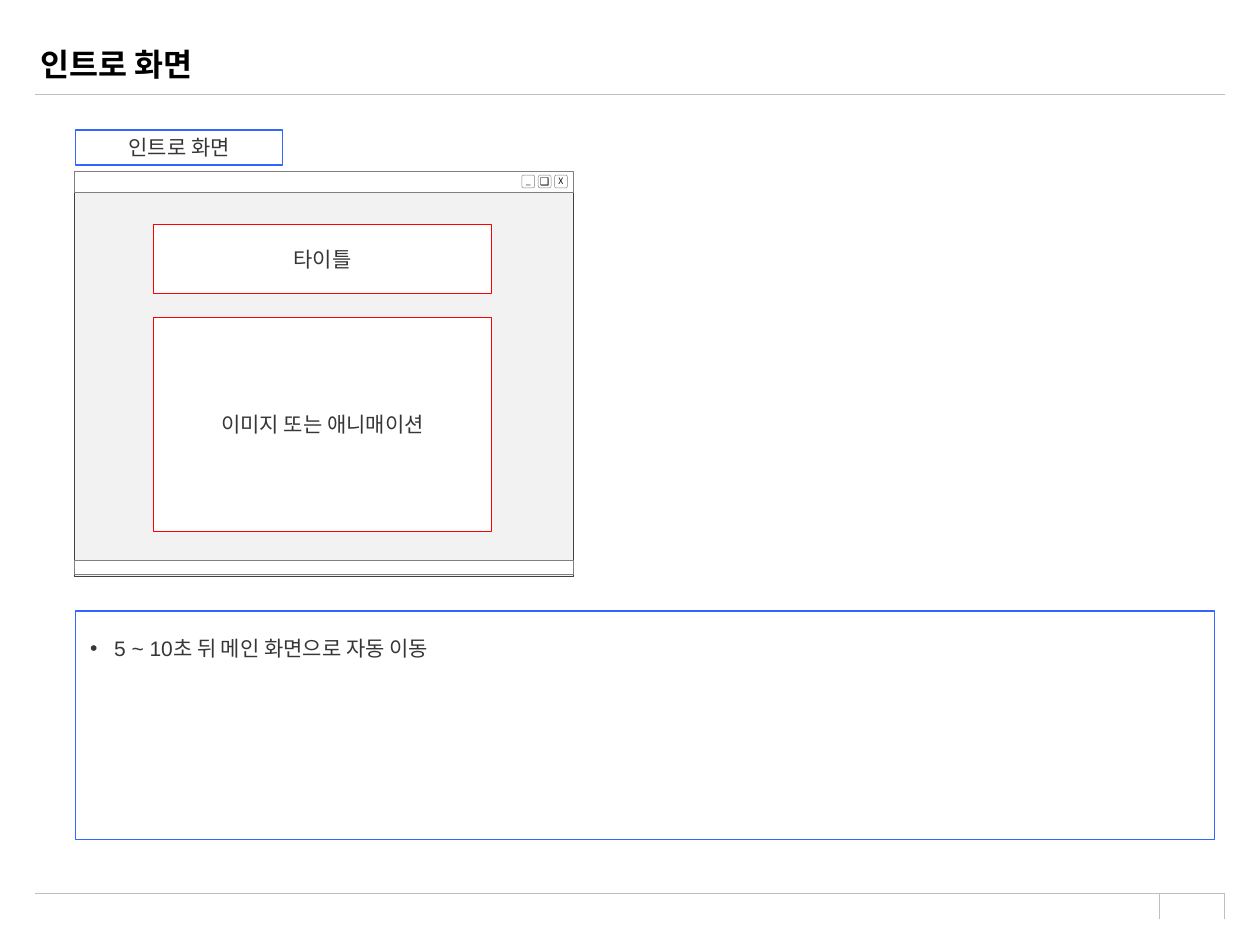
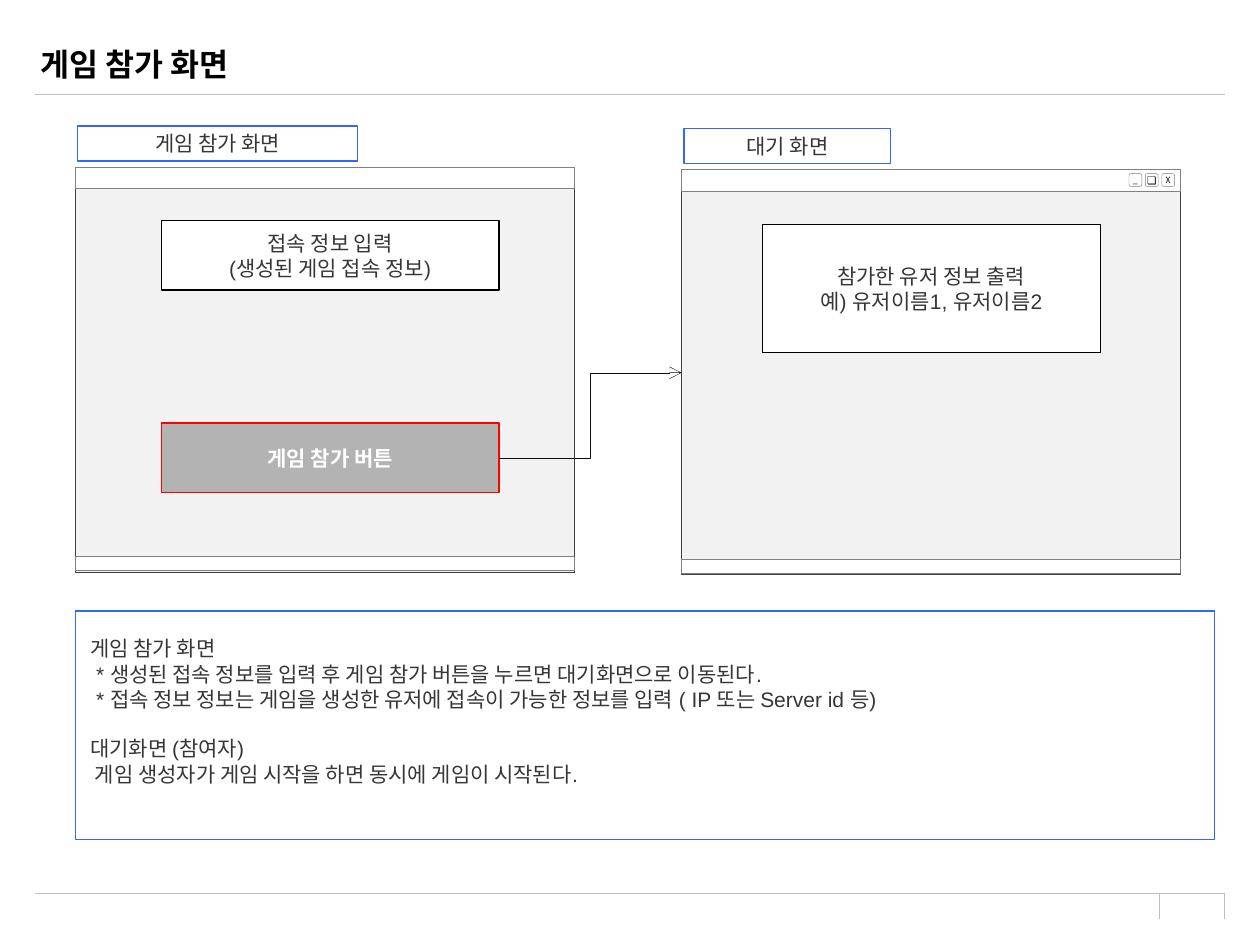
from lxml import etree
from pptx import Presentation
from pptx import util as u
from pptx.dml import color
from pptx.enum import shapes, text
from pptx.oxml import ns

Cm, Pt = u.Cm, u.Pt

COLORS = {
    "white": "FFFFFF", "black": "000000", "text": "363636", "rule": "BFBFBF",
    "blue": "3366FF", "red": "FE0000", "button": "B3B3B3", "body": "F2F2F2",
    "body_line": "404040", "frame": "808080", "arrow": "0D0D0D",
}
BODY_FONT, TITLE_FONT, ICON_FONT = "Arial", "Karla", "Noto Sans CJK KR"

RULES = [
    (0.71, 1.9, 24.69, 1.9), (0.71, 18.01, 24.69, 18.01),
    (24.69, 18.52, 24.69, 18.03), (23.37, 18.52, 23.37, 18.03),
]
WINDOW_WIDTH, WINDOW_HEIGHT = 10.06, 8.13
BAR_HEIGHT, STATUS_HEIGHT, STATUS_TOP = 0.43, 0.28, 7.82
ICONS = [("_", 5), ("❑", 6), ("X", 5)]
ICON_LEFT, ICON_STEP, ICON_SIZE = 9.02, 0.33, 0.26
LABEL_RISE, LABEL_HEIGHT = 0.86, 0.71
BOX_WIDTH, BOX_HEIGHT = 6.81, 1.4
NOTE = (1.52, 12.32, 22.96, 4.6)
INSETS = (0.3, 0.5, 0.3, 0.5)

SLIDES = [
    {
        "title": "인트로 화면",
        "windows": [
            {
                "at": (1.5, 3.48), "label": ("인트로 화면", 0.03, 4.17),
                "icons": True,
                "boxes": [
                    {"lines": ["타이틀"], "at": (1.6, 1.04), "line": "red"},
                    {"lines": ["이미지 또는 애니매이션"], "at": (1.6, 2.92),
                     "height": 4.32, "line": "red"},
                ],
            },
        ],
        "notes": [("5 ~ 10초 뒤 메인 화면으로 자동 이동", "bullet")],
    },
    {
        "title": "게임 참가 화면",
        "windows": [
            {
                "at": (1.52, 3.4), "label": ("게임 참가 화면", 0.05, 5.64),
                "icons": False,
                "boxes": [
                    {"lines": ["접속 정보 입력", "(생성된 게임 접속 정보)"],
                     "at": (1.73, 1.05), "line": "black"},
                    {"lines": ["게임 참가 버튼"], "at": (1.73, 5.13),
                     "line": "red", "fill": "button", "font": "white",
                     "bold": True, "opens": 1},
                ],
            },
            {
                "at": (13.74, 3.45), "label": ("대기 화면", 0.05, 4.17),
                "icons": True,
                "boxes": [
                    {"lines": ["참가한 유저 정보 출력", "예) 유저이름1, 유저이름2"],
                     "at": (1.63, 1.07), "height": 2.59, "line": "black"},
                ],
            },
        ],
        "notes": [
            ("게임 참가 화면", "plain"),
            (" * 생성된 접속 정보를 입력 후 게임 참가 버튼을 누르면 대기화면으로 이동된다.", "plain"),
            (" * 접속 정보 정보는 게임을 생성한 유저에 접속이 가능한 정보를 입력 ( IP 또는 Server id 등)", "plain"),
            ("대기화면 (참여자)", "spaced"),
            (" 게임 생성자가 게임 시작을 하면 동시에 게임이 시작된다.", "plain"),
        ],
    },
]


def rgb(name):
    return color.RGBColor.from_string(COLORS[name])


def add_run(paragraph, content, size=12, font=BODY_FONT, font_color="text", bold=False):
    run = paragraph.add_run()
    run.text = content
    run.font.size = Pt(size)
    run.font.name = font
    run.font.bold = bold
    run.font.color.rgb = rgb(font_color)


def add_box(slide, at, fill="white", line="frame", width=0.25,
            kind=shapes.MSO_SHAPE.RECTANGLE):
    shape = slide.shapes.add_shape(kind, *map(Cm, at))
    shape.shadow.inherit = False
    shape.fill.solid()
    shape.fill.fore_color.rgb = rgb(fill)
    shape.line.color.rgb = rgb(line)
    shape.line.width = Pt(width)
    return shape


def add_lines(shape, lines, insets=INSETS, align=text.PP_ALIGN.CENTER,
              anchor=text.MSO_ANCHOR.MIDDLE, **style):
    frame = shape.text_frame
    frame.word_wrap = True
    frame.vertical_anchor = anchor
    (frame.margin_left, frame.margin_top,
     frame.margin_right, frame.margin_bottom) = map(Cm, insets)
    for index, content in enumerate(lines):
        paragraph = frame.add_paragraph() if index else frame.paragraphs[0]
        paragraph.alignment = align
        add_run(paragraph, content, **style)
    return frame.paragraphs


def add_line(slide, ends, line, width, kind=shapes.MSO_CONNECTOR.STRAIGHT):
    connector = slide.shapes.add_connector(kind, *map(Cm, ends))
    connector.line.color.rgb = rgb(line)
    connector.line.width = Pt(width)
    etree.SubElement(connector._element.spPr, ns.qn("a:effectLst"))
    return connector


def add_title(slide, content):
    title = slide.shapes.title
    title.left, title.top, title.width, title.height = map(Cm, (0.56, 0.66, 22.86, 1.24))
    frame = title.text_frame
    frame.auto_size = text.MSO_AUTO_SIZE.NONE
    frame.vertical_anchor = text.MSO_ANCHOR.MIDDLE
    paragraph = frame.paragraphs[0]
    paragraph.alignment = text.PP_ALIGN.LEFT
    add_run(paragraph, content, 18, TITLE_FONT, "black", True)


def add_window(slide, window):
    left, top = window["at"]
    body = add_box(slide, (left, top, WINDOW_WIDTH, WINDOW_HEIGHT), "body", "body_line")
    add_box(slide, (left, top - 0.03, WINDOW_WIDTH, BAR_HEIGHT))
    add_box(slide, (left, top + STATUS_TOP, WINDOW_WIDTH, STATUS_HEIGHT))
    if window["icons"]:
        for index, (symbol, size) in enumerate(ICONS):
            at = (left + ICON_LEFT + index * ICON_STEP, top + 0.05, ICON_SIZE, ICON_SIZE)
            icon = add_box(slide, at, kind=shapes.MSO_SHAPE.ROUNDED_RECTANGLE)
            add_lines(icon, [symbol], (0, 0, 0, 0), size=size,
                      font=ICON_FONT, font_color="black")
    name, shift, width = window["label"]
    label = add_box(slide, (left + shift, top - LABEL_RISE, width, LABEL_HEIGHT),
                    line="blue", width=0.75)
    add_lines(label, [name])
    links = []
    for box in window["boxes"]:
        x, y = box["at"]
        at = (left + x, top + y, BOX_WIDTH, box.get("height", BOX_HEIGHT))
        shape = add_box(slide, at, box.get("fill", "white"), box["line"], 0.75)
        add_lines(shape, box["lines"], font_color=box.get("font", "text"),
                  bold=box.get("bold", False))
        if "opens" in box:
            links.append((shape, box["opens"]))
    return body, links


def add_arrow(slide, button, target):
    arrow = add_line(slide, (0, 0, 1, 1), "arrow", 0.25, shapes.MSO_CONNECTOR.ELBOW)
    arrow.begin_connect(button, 3)
    arrow.end_connect(target, 1)
    etree.SubElement(arrow.line._get_or_add_ln(), ns.qn("a:tailEnd"), type="arrow")


def add_notes_box(slide, notes):
    box = add_box(slide, NOTE, line="blue", width=0.75)
    paragraphs = add_lines(box, [content for content, _ in notes],
                           align=text.PP_ALIGN.LEFT, anchor=text.MSO_ANCHOR.TOP)
    for paragraph, (_, style) in zip(paragraphs, notes):
        if style == "spaced":
            paragraph.space_before = Pt(14)
        elif style == "bullet":
            properties = paragraph._p.get_or_add_pPr()
            properties.set("marL", str(Cm(0.48)))
            properties.set("indent", str(-Cm(0.48)))
            etree.SubElement(properties, ns.qn("a:buFont"), typeface=BODY_FONT)
            etree.SubElement(properties, ns.qn("a:buChar"), char="•")


def main():
    presentation = Presentation()
    presentation.slide_width, presentation.slide_height = Cm(25.4), Cm(19.05)
    for content in SLIDES:
        slide = presentation.slides.add_slide(presentation.slide_layouts[5])
        for ends in RULES:
            add_line(slide, ends, "rule", 0.5)
        add_title(slide, content["title"])
        windows = [add_window(slide, window) for window in content["windows"]]
        for _, links in windows:
            for button, target in links:
                add_arrow(slide, button, windows[target][0])
        add_notes_box(slide, content["notes"])
    presentation.save("out.pptx")


if __name__ == "__main__":
    main()
